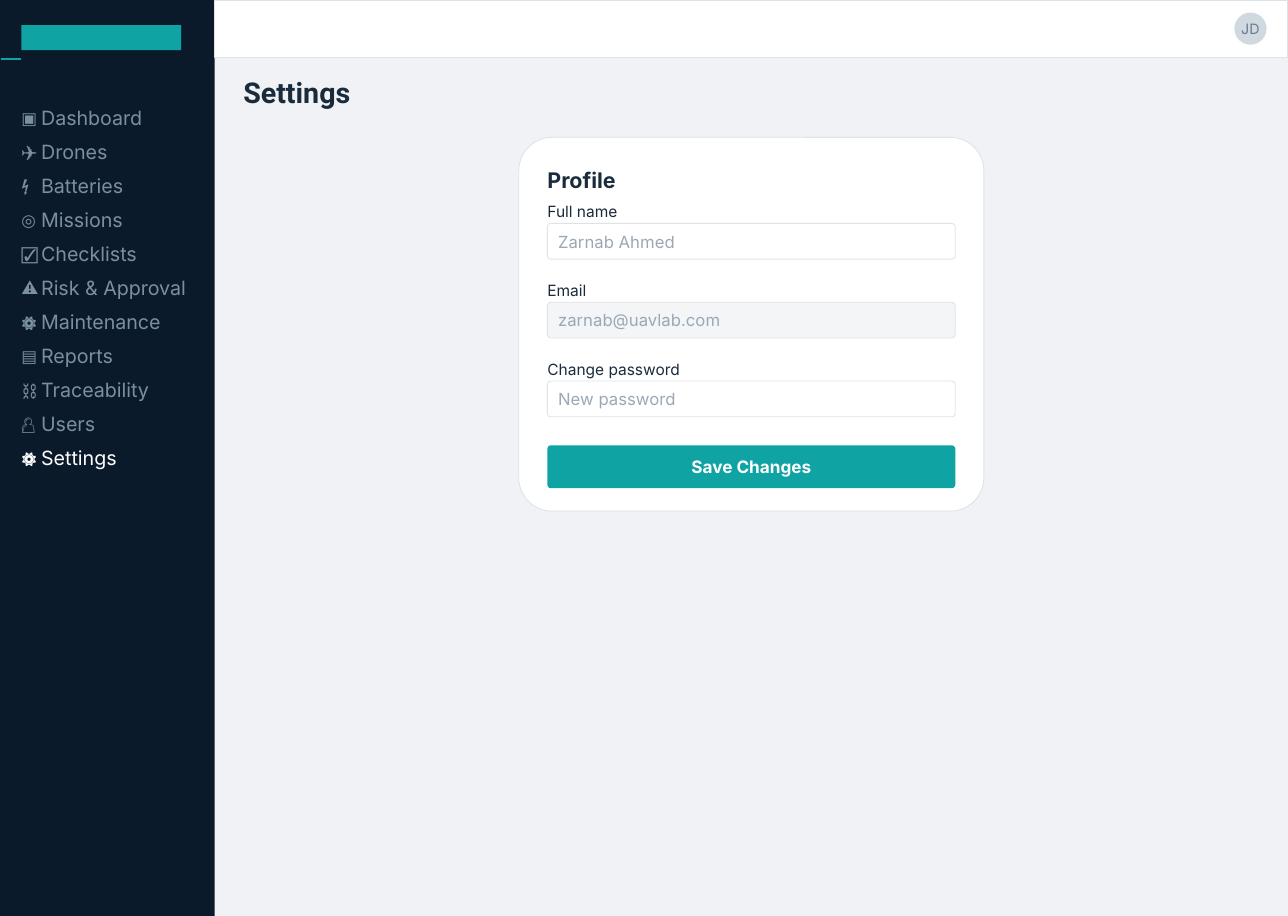
import pptx
import pptx.util
import pptx.dml.color
import pptx.enum.shapes
import pptx.enum.text
import pptx.oxml.ns
from lxml import etree

Pt = pptx.util.Pt
KIND = pptx.enum.shapes.MSO_SHAPE
ALIGN = pptx.enum.text.PP_ALIGN

HUES = {
    "page": "F0F2F5", "navy": "0A1A2B", "teal": "0FA3A3", "white": "FFFFFF",
    "edge": "DDE4E8", "muted": "7A8FA0", "disc": "D1D9E0", "name": "6B7A8D",
    "ink": "1A2B3C", "hint": "9BA8B5", "locked": "F3F5F7",
}
MENU = [
    ("▣", "Dashboard"), ("✈", "Drones"), ("⚡", "Batteries"),
    ("◎", "Missions"), ("☑", "Checklists"), ("⚠", "Risk & Approval"),
    ("⚙", "Maintenance"), ("▤", "Reports"), ("⛓", "Traceability"),
    ("👤", "Users"), ("⚙", "Settings"),
]
ACTIVE = len(MENU) - 1
FIELDS = [
    ("Full name", "Zarnab Ahmed", "white"),
    ("Email", "zarnab@uavlab.com", "locked"),
    ("Change password", "New password", "white"),
]
WIDE, HIGH, SIDE = 1080, 768.24, 180
MENU_TOP, MENU_STEP, MENU_LINE = 85.5, 28.5, 23.1
FORM_X, FORM_W, FORM_TOP, FORM_STEP = 459, 342, 167.2, 66.1
LEAD = 1.4


def tint(key):
    return pptx.dml.color.RGBColor.from_string(HUES[key])


def style(run, size, hue, face="Inter", bold=False):
    run.font.size = Pt(size)
    run.font.name = face
    run.font.bold = bold
    run.font.color.rgb = tint(hue)


def frame(item):
    text = item.text_frame
    text.margin_left = text.margin_right = text.margin_top = text.margin_bottom = 0
    text.word_wrap = True
    text.auto_size = pptx.enum.text.MSO_AUTO_SIZE.NONE
    text.vertical_anchor = pptx.enum.text.MSO_ANCHOR.TOP
    return text


def place(item, x, y, w, h):
    item.left, item.top, item.width, item.height = Pt(x), Pt(y), Pt(w), Pt(h)


def block(kind, x, y, w, h, fill, edge=None, round=None):
    item = slide.shapes.add_shape(kind, Pt(x), Pt(y), Pt(w), Pt(h))
    item.shadow.inherit = False
    item.fill.solid()
    item.fill.fore_color.rgb = tint(fill)
    if edge:
        item.line.color.rgb = tint(edge)
        item.line.width = Pt(0.75)
    else:
        item.line.fill.background()
    if round:
        item.adjustments[0] = round / min(w, h)


def label(words, x, y, w, h, size, hue, bold=False, align=ALIGN.LEFT):
    text = frame(slide.shapes.add_textbox(Pt(x), Pt(y), Pt(w), Pt(h)))
    text.text = words
    para = text.paragraphs[0]
    para.alignment = align
    para.line_spacing = Pt(size * LEAD)
    style(para.runs[0], size, hue, bold=bold)


deck = pptx.Presentation()
deck.slide_width, deck.slide_height = Pt(WIDE), Pt(HIGH)
slide = deck.slides.add_slide(deck.slide_layouts[1])
slide.background.fill.solid()
slide.background.fill.fore_color.rgb = tint("page")
title, menu = slide.placeholders

block(KIND.ROUNDED_RECTANGLE, 435, 115.2, 390, 313.5, "white", "edge", 28)
block(KIND.RECTANGLE, 0, 0, SIDE, HIGH, "navy")
block(KIND.RECTANGLE, SIDE, 0, WIDE - SIDE, 48, "white", "edge")
block(KIND.OVAL, 1035, 10.5, 27, 27, "disc")
label("JD", 1035, 14.25, 27, 16.8, 12, "name", align=ALIGN.CENTER)

block(KIND.RECTANGLE, 18, 21, 134, 21, "teal")
rule = slide.shapes.add_connector(
    pptx.enum.shapes.MSO_CONNECTOR.STRAIGHT, Pt(18), Pt(49.5), Pt(0.75), Pt(49.5))
rule.line.color.rgb = tint("teal")
rule.line.width = Pt(1.5)
etree.SubElement(rule.element.spPr, pptx.oxml.ns.qn("a:effectLst"))

place(title, 204, 57.75, 225, 36.5)
head = frame(title)
head.text = "Settings"
head.paragraphs[0].alignment = ALIGN.LEFT
head.paragraphs[0].line_spacing = Pt(33.6)
style(head.paragraphs[0].runs[0], 24, "ink", "Roboto", True)

place(menu, 34.5, MENU_TOP, 126, MENU_STEP * len(MENU))
items = frame(menu)
items.text = "\n".join(name for icon, name in MENU)
for i, para in enumerate(items.paragraphs):
    hue = "white" if i == ACTIVE else "muted"
    props = para._p.get_or_add_pPr()
    props.set("marL", "0")
    props.set("indent", "0")
    etree.SubElement(props, pptx.oxml.ns.qn("a:buNone"))
    para.line_spacing = Pt(MENU_LINE)
    para.space_before = Pt(MENU_STEP - MENU_LINE if i else 0)
    style(para.runs[0], 16.5, hue)
    label(MENU[i][0], 18, MENU_TOP + 2.2 + i * MENU_STEP, 15, 19, 14, hue)
slide.shapes.element.append(menu.element)

label("Profile", FORM_X, 136.8, 150, 24.5, 18, "ink", True)
for i, (name, hint, fill) in enumerate(FIELDS):
    y = FORM_TOP + i * FORM_STEP
    label(name, FORM_X, y, FORM_W, 18, 13, "ink")
    block(KIND.ROUNDED_RECTANGLE, FORM_X, y + 20.2, FORM_W, 30, fill, "edge", 3)
    label(hint, FORM_X + 9, y + 24.2, FORM_W - 18, 19, 14, "hint")
block(KIND.ROUNDED_RECTANGLE, FORM_X, 373.5, FORM_W, 36, "teal", round=3)
label("Save Changes", FORM_X, 379.5, FORM_W, 19.5, 14.4, "white", True, ALIGN.CENTER)

deck.save("out.pptx")
